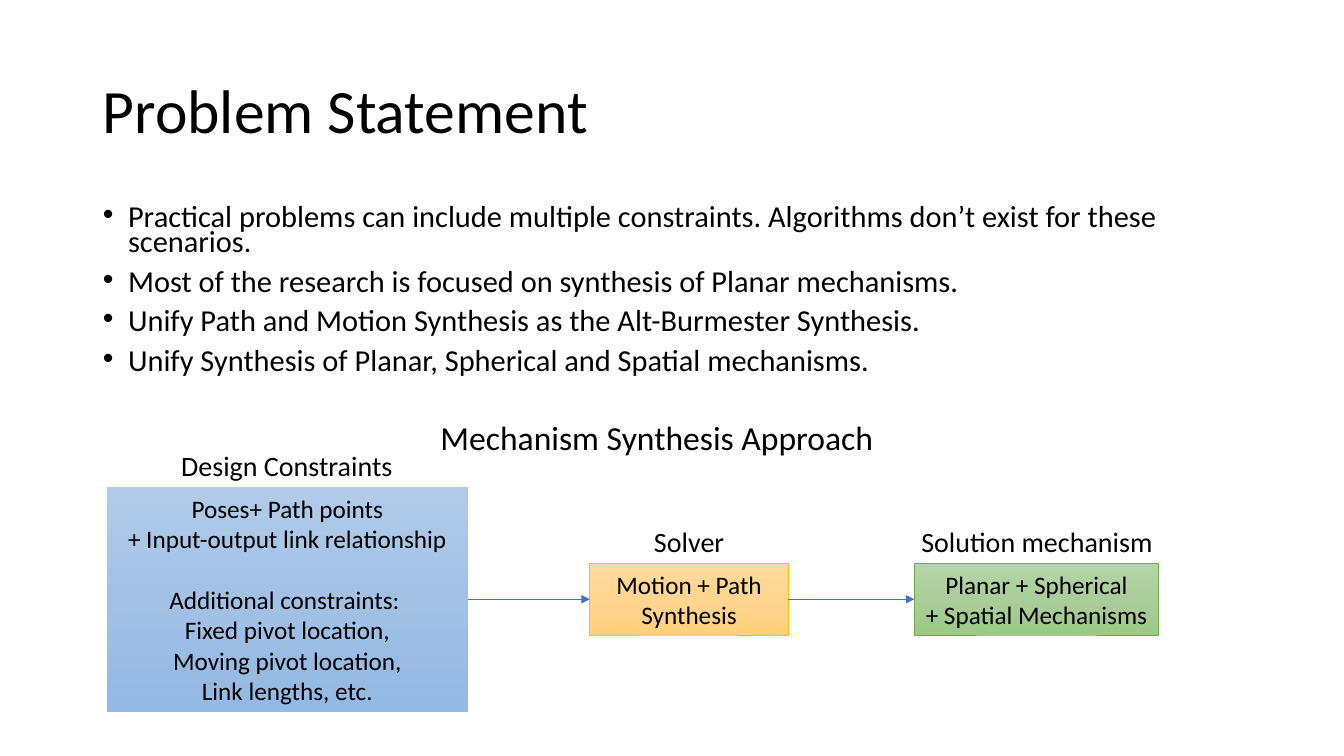
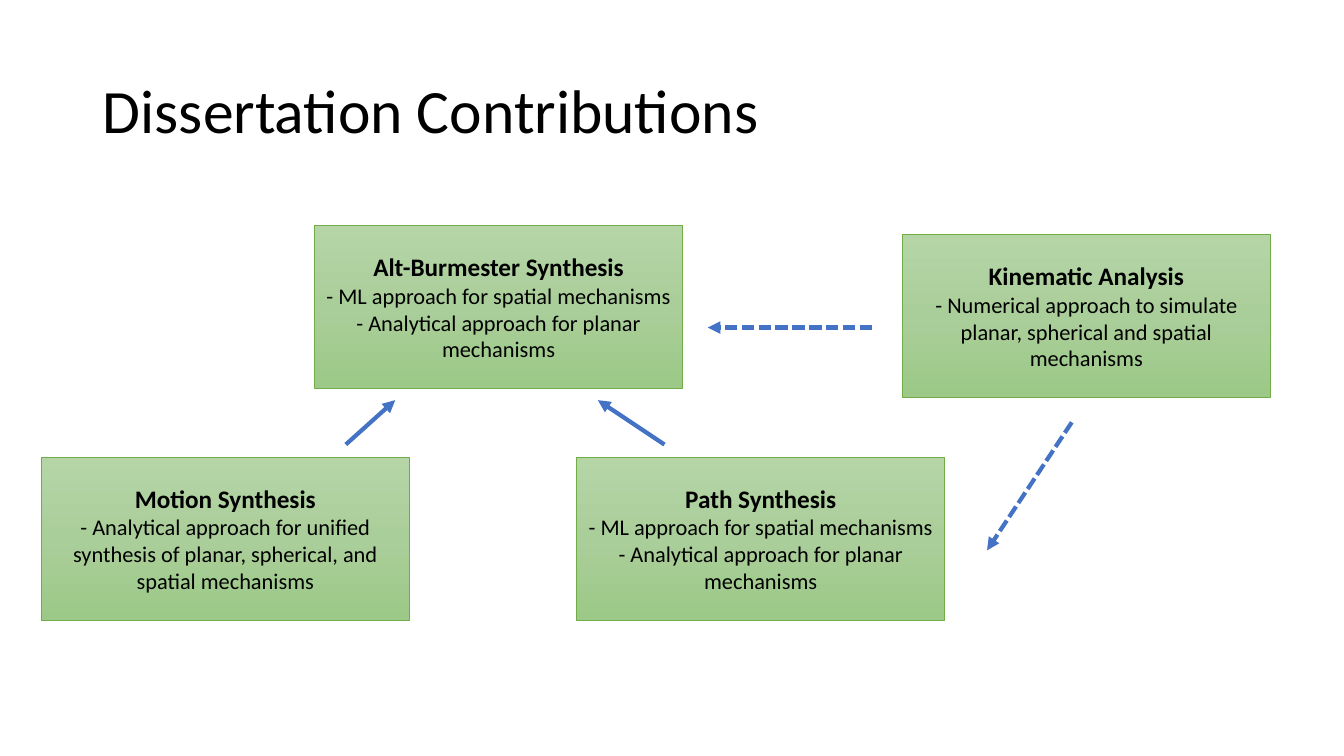
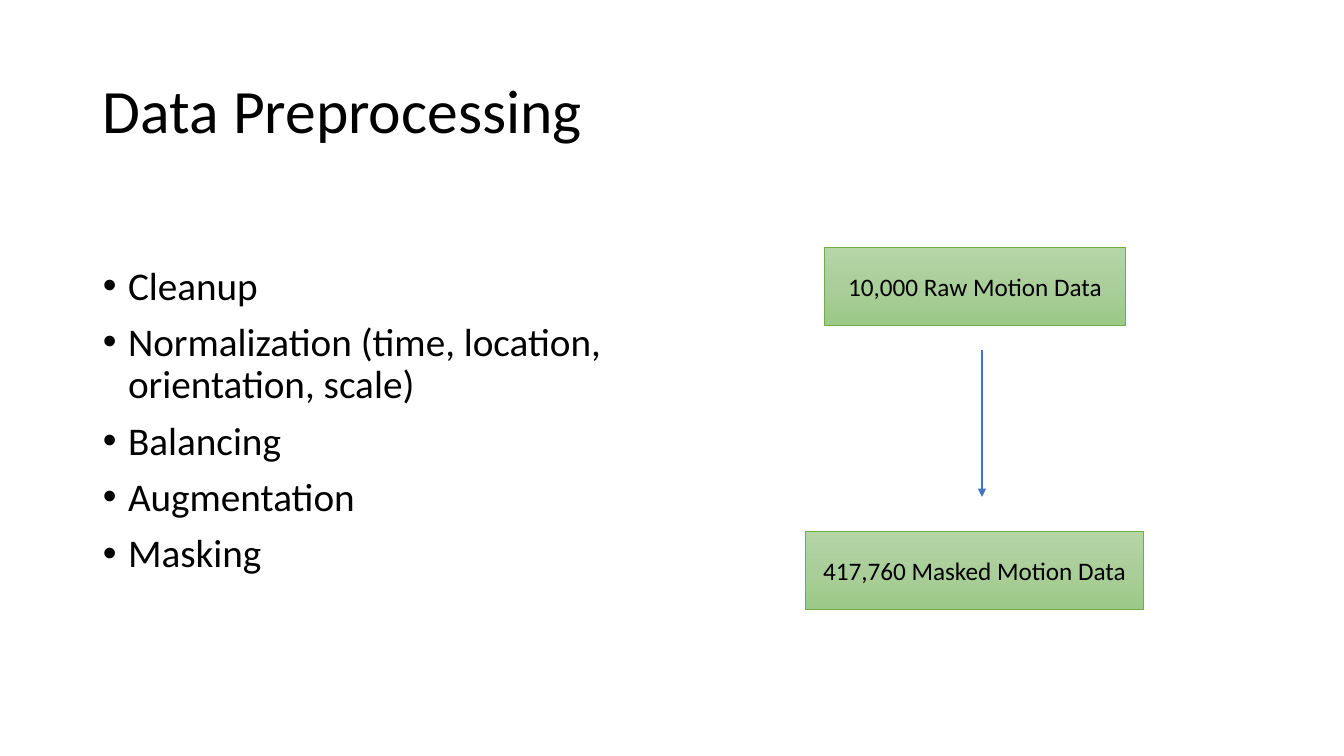
from copy import deepcopy
from dataclasses import dataclass
from typing import Optional

from lxml.etree import SubElement
from pptx import Presentation
from pptx.dml.color import RGBColor
from pptx.enum.dml import MSO_LINE_DASH_STYLE as Dash
from pptx.enum.shapes import MSO_CONNECTOR as Connector, MSO_SHAPE as ShapeKind
from pptx.enum.text import MSO_ANCHOR as Anchor, MSO_AUTO_SIZE as AutoSize, PP_ALIGN as Align
from pptx.oxml.ns import qn
from pptx.util import Emu, Pt

EMU_PER_PX = 9144
FONT = "Calibri"
COLORS = {
    "text": "000000",
    "arrow": "4472C4",
    "green_line": "70AD47",
    "orange_line": "FFC000",
}
GRADIENTS = {
    "blue": ("B1CBE9", "A3C1E5", "93B9E4"),
    "green": ("B5D5A7", "AACE9A", "9CC987"),
    "orange": ("FFDB9E", "FFD590", "FFD07C"),
}
TOP, LEFT, BOTTOM, RIGHT = range(4)
TITLE_AREA = (92, 40, 1150, 145)


@dataclass
class Line:
    text: str
    size: float = 18
    bold: bool = False
    space_before: float = 0


@dataclass
class Box:
    left: int
    top: int
    width: int
    height: int
    lines: list[Line]
    gradient: str = "green"
    outline: Optional[str] = "green_line"
    wrap: bool = True


@dataclass
class Label:
    left: int
    top: int
    width: int
    height: int
    text: str
    size: float = 20


@dataclass
class Arrow:
    start: tuple[int, int]
    end: tuple[int, int]
    weight: float = 3
    dashed: bool = False


def px(value: int) -> Emu:
    return Emu(value * EMU_PER_PX)


def rgb(name: str) -> RGBColor:
    return RGBColor.from_string(COLORS[name])


def place(shape, left: int, top: int, width: int, height: int) -> None:
    shape.left, shape.top = px(left), px(top)
    shape.width, shape.height = px(width), px(height)


def add_run(paragraph, text: str, size: float, bold: bool = False) -> None:
    run = paragraph.add_run()
    run.text = text
    run.font.name = FONT
    run.font.size = Pt(size)
    run.font.bold = bold
    run.font.color.rgb = rgb("text")


def add_lines(frame, lines: list[Line]) -> None:
    for index, line in enumerate(lines):
        paragraph = frame.add_paragraph() if index else frame.paragraphs[0]
        paragraph.alignment = Align.CENTER
        paragraph.space_before = Pt(line.space_before)
        add_run(paragraph, line.text, line.size, line.bold)


def add_titled_slide(presentation, title: str, layout_index: int):
    slide = presentation.slides.add_slide(presentation.slide_layouts[layout_index])
    shape = slide.shapes.title
    place(shape, *TITLE_AREA)
    frame = shape.text_frame
    frame.auto_size = AutoSize.NONE
    frame.vertical_anchor = Anchor.MIDDLE
    paragraph = frame.paragraphs[0]
    paragraph.alignment = Align.LEFT
    paragraph.line_spacing = 0.9
    add_run(paragraph, title, 44)
    return slide


def fill_body(slide, area: tuple[int, int, int, int], items: list[str],
              size: float, line_spacing: float) -> None:
    shape = slide.placeholders[1]
    place(shape, *area)
    frame = shape.text_frame
    frame.auto_size = AutoSize.NONE
    frame.vertical_anchor = Anchor.TOP
    for index, item in enumerate(items):
        paragraph = frame.add_paragraph() if index else frame.paragraphs[0]
        properties = paragraph._p.get_or_add_pPr()
        properties.set("marL", str(px(25)))
        properties.set("indent", str(px(-25)))
        SubElement(properties, qn("a:buFont")).set("typeface", "Arial")
        SubElement(properties, qn("a:buChar")).set("char", "•")
        paragraph.alignment = Align.LEFT
        paragraph.line_spacing = line_spacing
        paragraph.space_before = Pt(10 if index else 0)
        add_run(paragraph, item, size)


def fill_gradient(shape, colors: tuple[str, ...]) -> None:
    shape.fill.gradient()
    shape.fill.gradient_angle = 270
    stop_list = shape._element.spPr.find(qn("a:gradFill")).find(qn("a:gsLst"))
    stop_list.insert(1, deepcopy(stop_list[0]))
    for index, (stop, color) in enumerate(zip(shape.fill.gradient_stops, colors)):
        stop.position = index / 2
        stop.color.rgb = RGBColor.from_string(color)


def add_box(slide, box: Box):
    shape = slide.shapes.add_shape(
        ShapeKind.RECTANGLE, px(box.left), px(box.top), px(box.width), px(box.height))
    shape.shadow.inherit = False
    fill_gradient(shape, GRADIENTS[box.gradient])
    if box.outline:
        shape.line.color.rgb = rgb(box.outline)
        shape.line.width = Pt(0.5)
    else:
        shape.line.fill.background()
    frame = shape.text_frame
    frame.word_wrap = box.wrap
    frame.vertical_anchor = Anchor.MIDDLE
    add_lines(frame, box.lines)
    return shape


def add_label(slide, label: Label) -> None:
    shape = slide.shapes.add_textbox(
        px(label.left), px(label.top), px(label.width), px(label.height))
    shape.text_frame.word_wrap = True
    add_lines(shape.text_frame, [Line(label.text, label.size)])


def add_arrow(slide, arrow: Arrow):
    connector = slide.shapes.add_connector(
        Connector.STRAIGHT, *map(px, arrow.start + arrow.end))
    connector.line.color.rgb = rgb("arrow")
    connector.line.width = Pt(arrow.weight)
    if arrow.dashed:
        connector.line.dash_style = Dash.SQUARE_DOT
    SubElement(connector.line._get_or_add_ln(), qn("a:tailEnd")).set("type", "triangle")
    SubElement(connector._element.spPr, qn("a:effectLst"))
    return connector


def build_problem_statement(presentation) -> None:
    slide = add_titled_slide(presentation, "Problem Statement", 1)
    fill_body(slide, (92, 200, 1150, 183), [
        "Practical problems can include multiple constraints. "
        "Algorithms don’t exist for these scenarios.",
        "Most of the research is focused on synthesis of Planar mechanisms.",
        "Unify Path and Motion Synthesis as the Alt-Burmester Synthesis.",
        "Unify Synthesis of Planar, Spherical and Spatial mechanisms.",
    ], 21.7, 0.7)
    boxes = [
        Box(106, 483, 358, 223, [
            Line("Poses+ Path points"),
            Line("+ Input-output link relationship"),
            Line("Additional constraints: ", space_before=22),
            Line("Fixed pivot location,"),
            Line("Moving pivot location,"),
            Line("Link lengths, etc."),
        ], "blue", None),
        Box(585, 559, 197, 71, [Line("Motion + Path"), Line("Synthesis")],
            "orange", "orange_line"),
        Box(907, 559, 242, 71, [Line("Planar + Spherical"), Line("+ Spatial Mechanisms")],
            wrap=False),
    ]
    stages = [add_box(slide, box) for box in boxes]
    for source, target in zip(stages, stages[1:]):
        connector = add_arrow(slide, Arrow((0, 0), (0, 0), 0.5))
        connector.begin_connect(source, RIGHT)
        connector.end_connect(target, LEFT)
    for label in (
        Label(157, 440, 255, 44, "Design Constraints"),
        Label(556, 515, 255, 44, "Solver"),
        Label(901, 515, 255, 44, "Solution mechanism"),
        Label(413, 409, 477, 50, "Mechanism Synthesis Approach", 24),
    ):
        add_label(slide, label)


def build_contributions(presentation) -> None:
    slide = add_titled_slide(presentation, "Dissertation Contributions", 5)
    spatial_and_planar = [
        "- ML approach for spatial mechanisms",
        "- Analytical approach for planar mechanisms",
    ]
    for left, top, heading, points in (
        (312, 224, "Alt-Burmester Synthesis", spatial_and_planar),
        (41, 454, "Motion Synthesis", [
            "- Analytical approach for unified synthesis of planar, spherical, "
            "and spatial mechanisms"]),
        (572, 454, "Path Synthesis", spatial_and_planar),
        (895, 233, "Kinematic Analysis", [
            "- Numerical approach to simulate planar, spherical and spatial mechanisms"]),
    ):
        lines = [Line(heading, bold=True)] + [Line(point, 16) for point in points]
        add_box(slide, Box(left, top, 365, 161, lines))
    for arrow in (
        Arrow((343, 441), (392, 397)),
        Arrow((659, 441), (593, 397)),
        Arrow((865, 325), (702, 325), dashed=True),
        Arrow((1063, 419), (979, 546), dashed=True),
    ):
        add_arrow(slide, arrow)


def build_preprocessing(presentation) -> None:
    slide = add_titled_slide(presentation, "Data Preprocessing", 1)
    fill_body(slide, (92, 259, 565, 417), [
        "Cleanup",
        "Normalization (time, location, orientation, scale)",
        "Balancing",
        "Augmentation",
        "Masking",
    ], 28, 0.9)
    add_box(slide, Box(818, 245, 298, 78, [Line("10,000 Raw Motion Data")]))
    add_box(slide, Box(799, 527, 335, 78, [Line("417,760 Masked Motion Data")]))
    add_arrow(slide, Arrow((974, 347), (974, 493), 1))


def main() -> None:
    presentation = Presentation()
    presentation.slide_width, presentation.slide_height = px(1333), px(750)
    build_problem_statement(presentation)
    build_contributions(presentation)
    build_preprocessing(presentation)
    presentation.save("out.pptx")


if __name__ == "__main__":
    main()
